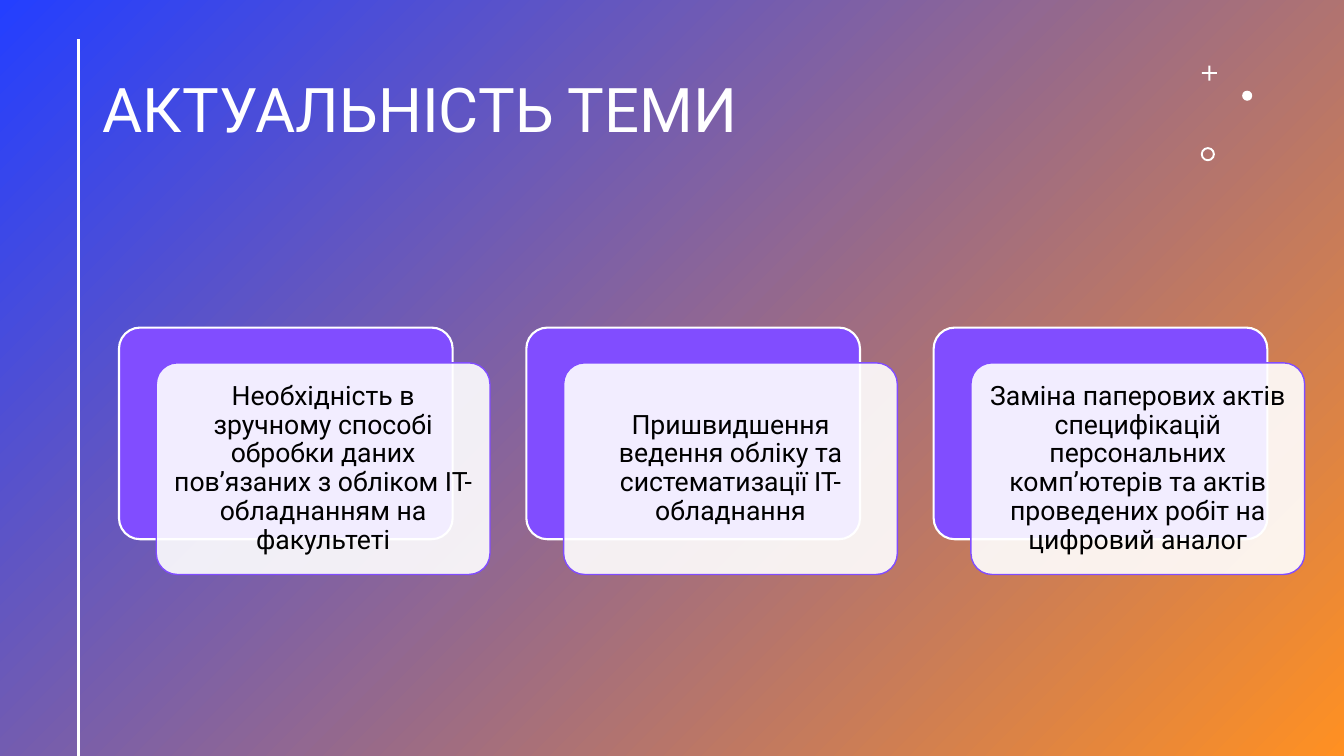
from lxml import etree
from pptx import Presentation, util as u
from pptx.dml.color import RGBColor
from pptx.enum import shapes, text
from pptx.oxml.ns import qn

WHITE, VIOLET, BLUE, ORANGE = "FFFFFF", "814DFF", "243FFF", "FF9022"


def color(hex_code):
    return RGBColor.from_string(hex_code)


def write(box, words, size=19, ink="000000", align=text.PP_ALIGN.CENTER, inset=0.08):
    frame = box.text_frame
    frame.word_wrap = True
    frame.vertical_anchor = text.MSO_ANCHOR.MIDDLE
    frame.margin_left = frame.margin_right = u.Inches(inset)
    frame.margin_top = frame.margin_bottom = u.Inches(inset)
    para = frame.paragraphs[0]
    para.alignment = align
    para.line_spacing = 0.9
    span = para.add_run()
    span.text = words
    span.font.name = "Roboto"
    span.font.size = u.Pt(size)
    span.font.color.rgb = color(ink)


deck = Presentation()
deck.slide_width = u.Inches(13.33)
deck.slide_height = u.Inches(7.5)
page = deck.slides.add_slide(deck.slide_layouts[6])

backdrop = page.shapes.add_shape(
    shapes.MSO_SHAPE.RECTANGLE, 0, 0, deck.slide_width, deck.slide_height)
backdrop.shadow.inherit = False
backdrop.line.fill.background()
backdrop.fill.gradient()
backdrop.fill.gradient_angle = 315
for stop, shade in zip(backdrop.fill.gradient_stops, (BLUE, ORANGE)):
    stop.color.rgb = color(shade)

title = page.shapes.add_textbox(
    u.Inches(0.92), u.Inches(0.39), u.Inches(10.72), u.Inches(1.45))
write(title, "АКТУАЛЬНІСТЬ ТЕМИ", size=44, ink=WHITE, align=text.PP_ALIGN.LEFT, inset=0.1)

rule = page.shapes.add_connector(
    shapes.MSO_CONNECTOR.STRAIGHT, u.Inches(0.78), u.Inches(0.39), u.Inches(0.78), u.Inches(7.5))
rule.line.color.rgb = color(WHITE)
rule.line.width = u.Pt(2)
etree.SubElement(rule.line._get_or_add_ln().getparent(), qn("a:effectLst"))

ornaments = [
    (shapes.MSO_SHAPE.CROSS, 11.92, 0.65, 0.15, [0.44]),
    (shapes.MSO_SHAPE.OVAL, 12.32, 0.9, 0.1, []),
    (shapes.MSO_SHAPE.DONUT, 11.91, 1.46, 0.14, [0.14]),
]
for kind, left, top, size, adjustments in ornaments:
    ornament = page.shapes.add_shape(
        kind, u.Inches(left), u.Inches(top), u.Inches(size), u.Inches(size))
    ornament.shadow.inherit = False
    ornament.fill.solid()
    ornament.fill.fore_color.rgb = color(WHITE)
    ornament.line.fill.background()
    for index, value in enumerate(adjustments):
        ornament.adjustments[index] = value

reasons = [
    "Необхідність в зручному способі обробки даних пов’язаних з обліком ІТ-обладнанням на факультеті",
    "Пришвидшення ведення обліку та систематизації ІТ-обладнання",
    "Заміна паперових актів специфікацій персональних комп’ютерів та актів "
    "проведених робіт на цифровий аналог",
]
for column, reason in enumerate(reasons):
    left = 1.18 + column * 4.04
    layers = [(0, 3.25, VIOLET, WHITE, 1.5), (0.37, 3.6, WHITE, VIOLET, 1)]
    for shift, top, fill, outline, weight in layers:
        card = page.shapes.add_shape(
            shapes.MSO_SHAPE.ROUNDED_RECTANGLE,
            u.Inches(left + shift), u.Inches(top), u.Inches(3.31), u.Inches(2.1))
        card.adjustments[0] = 0.1
        card.shadow.inherit = False
        card.fill.solid()
        card.fill.fore_color.rgb = color(fill)
        card.line.color.rgb = color(outline)
        card.line.width = u.Pt(weight)
    tint = card.fill._xPr.find(qn("a:solidFill"))[0]
    etree.SubElement(tint, qn("a:alpha"), val="90000")
    write(card, reason)

deck.save("out.pptx")
